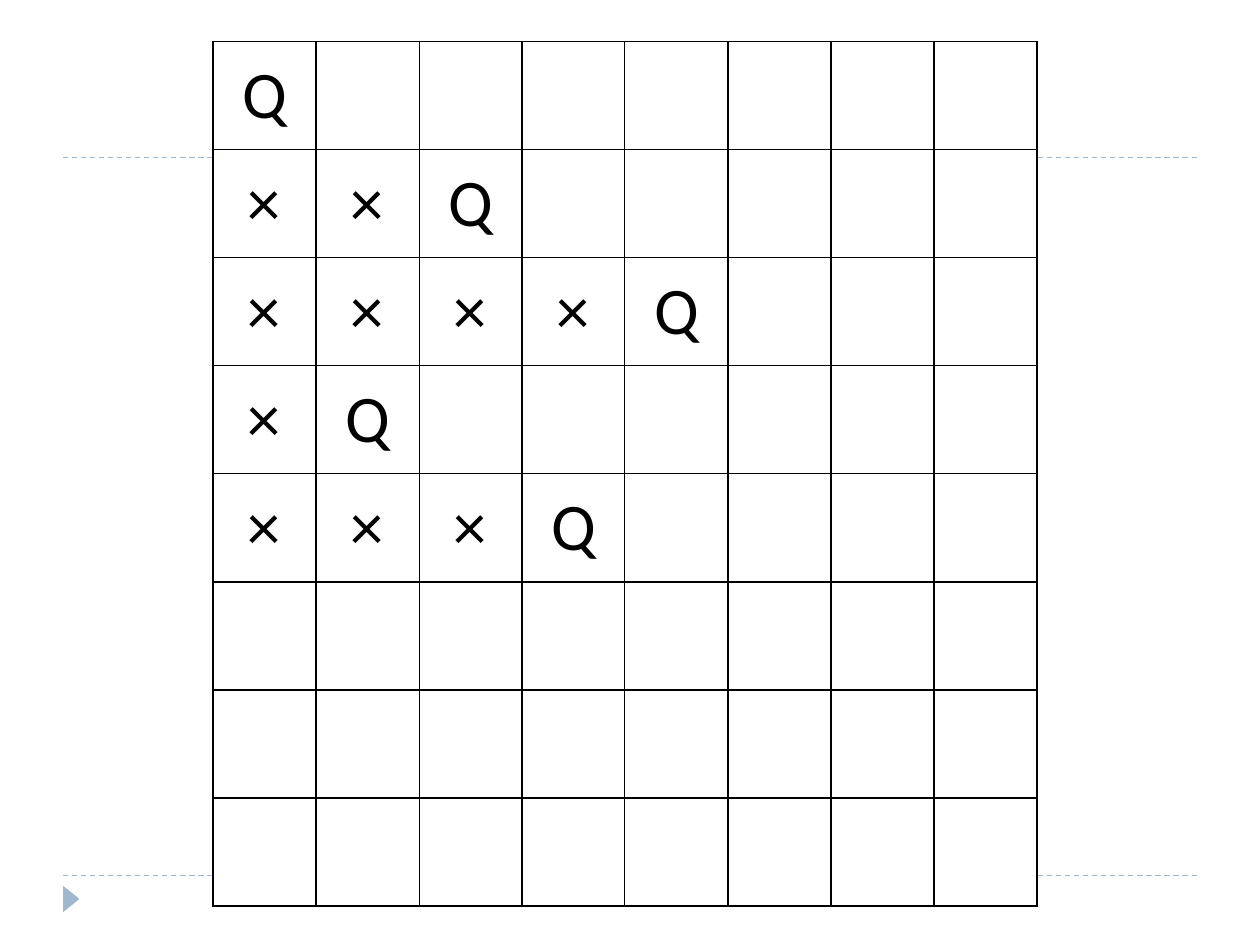
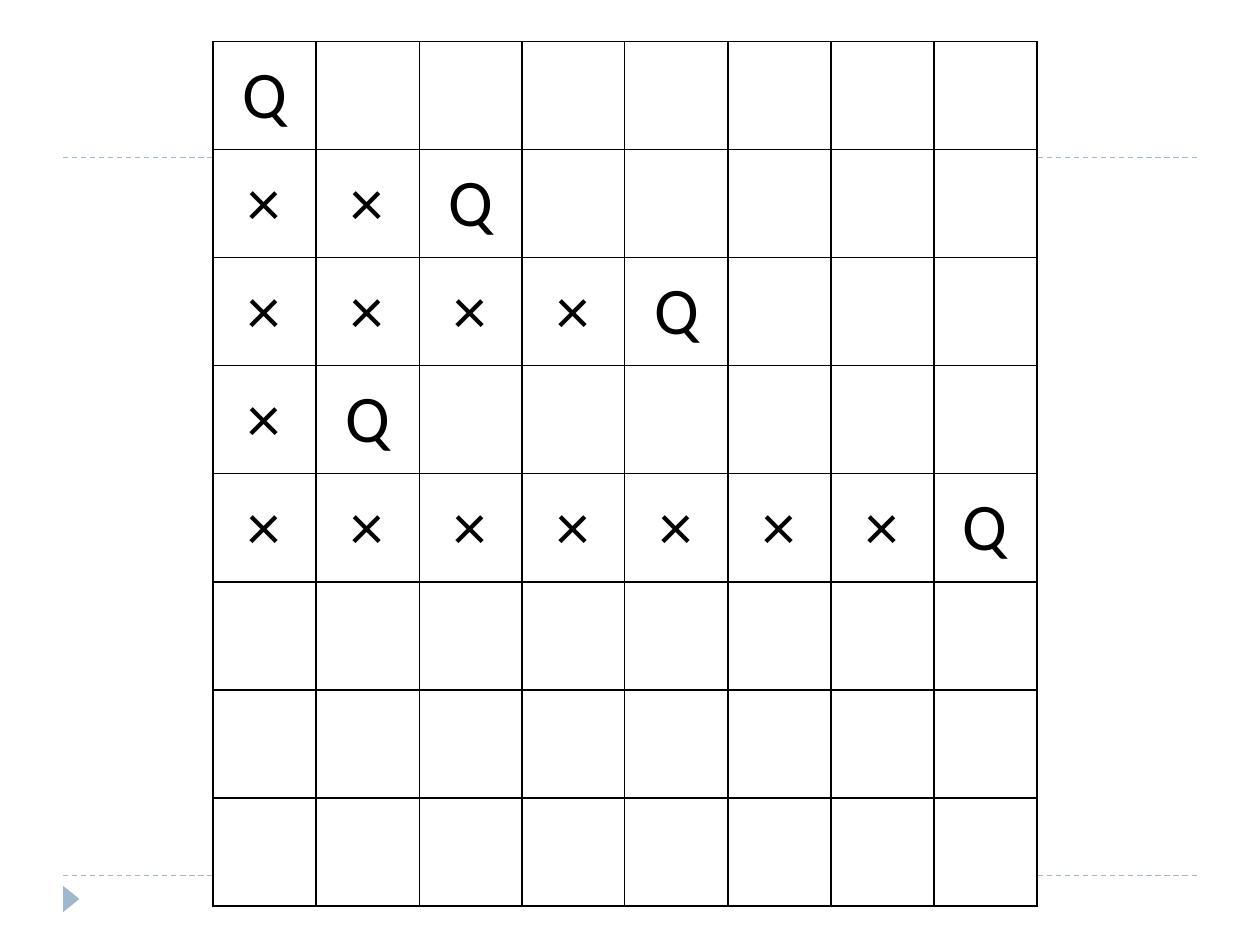
from dataclasses import dataclass

from lxml.etree import SubElement
from pptx import Presentation
from pptx.dml.color import RGBColor
from pptx.enum.dml import MSO_LINE
from pptx.enum.shapes import MSO_CONNECTOR, MSO_SHAPE
from pptx.enum.text import MSO_ANCHOR, PP_ALIGN
from pptx.oxml.ns import qn
from pptx.slide import Slide
from pptx.table import _Cell
from pptx.util import Inches, Pt


@dataclass(frozen=True)
class Theme:
    accent: RGBColor = RGBColor(0x9F, 0xB8, 0xCD)
    ink: RGBColor = RGBColor(0, 0, 0)
    paper: RGBColor = RGBColor(0xFF, 0xFF, 0xFF)
    font: str = "Calibri"
    mark_size: Pt = Pt(38)
    rule_width: Pt = Pt(0.75)
    thick_edge: Pt = Pt(1)
    thin_edge: Pt = Pt(0.5)


@dataclass(frozen=True)
class Board:
    queen_columns: tuple[int, ...]

    def marks(self, row: int) -> str:
        if row >= len(self.queen_columns):
            return ""
        return "×" * self.queen_columns[row] + "Q"


THEME = Theme()
SIZE = 8
THIN_EDGES = {2, 4}
RULE_TOPS = (6.95, 1.25)
BOARDS = (Board((0, 2, 4, 1, 3)), Board((0, 2, 4, 1, 7)))
CELL_FORMAT = {
    "vertical_anchor": MSO_ANCHOR.MIDDLE,
    "margin_left": Inches(0.21),
    "margin_right": Inches(0.21),
    "margin_top": Inches(0.1),
    "margin_bottom": Inches(0.1),
}
MARK_FORMAT = {"name": THEME.font, "size": THEME.mark_size}
RULE_FORMAT = {"width": THEME.rule_width, "dash_style": MSO_LINE.DASH}


def apply_format(target: object, values: dict[str, object]) -> None:
    for attribute, value in values.items():
        setattr(target, attribute, value)


def draw_frame(slide: Slide) -> None:
    for top in RULE_TOPS:
        rule = slide.shapes.add_connector(
            MSO_CONNECTOR.STRAIGHT, Inches(0.5), Inches(top), Inches(9.5), Inches(top)
        )
        rule.line.color.rgb = THEME.accent
        apply_format(rule.line, RULE_FORMAT)
        SubElement(rule._element.spPr, qn("a:effectLst"))
    marker = slide.shapes.add_shape(
        MSO_SHAPE.ISOSCELES_TRIANGLE, Inches(0.46), Inches(7.07), Inches(0.21), Inches(0.13)
    )
    marker.rotation = 90
    marker.shadow.inherit = False
    marker.fill.solid()
    marker.fill.fore_color.rgb = THEME.accent
    marker.line.fill.background()


def draw_borders(cell: _Cell, row: int, column: int) -> None:
    edges = {"a:lnL": column, "a:lnR": column + 1, "a:lnT": row, "a:lnB": row + 1}
    properties = cell._tc.get_or_add_tcPr()
    for position, (tag, edge) in enumerate(edges.items()):
        width = THEME.thin_edge if edge in THIN_EDGES else THEME.thick_edge
        border = SubElement(properties, qn(tag), w=str(int(width)))
        fill = SubElement(border, qn("a:solidFill"))
        SubElement(fill, qn("a:srgbClr"), val=str(THEME.ink))
        properties.insert(position, border)


def draw_cell(cell: _Cell, row: int, column: int, mark: str) -> None:
    apply_format(cell, CELL_FORMAT)
    cell.fill.solid()
    cell.fill.fore_color.rgb = THEME.paper
    draw_borders(cell, row, column)
    if mark:
        paragraph = cell.text_frame.paragraphs[0]
        paragraph.alignment = PP_ALIGN.CENTER
        run = paragraph.add_run()
        run.text = mark
        apply_format(run.font, MARK_FORMAT)
        run.font.color.rgb = THEME.ink


def draw_board(slide: Slide, board: Board) -> None:
    grid = slide.shapes.add_table(
        SIZE, SIZE, Inches(1.69), Inches(0.33), Inches(6.54), Inches(6.86)
    ).table
    apply_format(grid, {"first_row": False, "horz_banding": False})
    for row in range(SIZE):
        marks = board.marks(row)
        for column in range(SIZE):
            draw_cell(grid.cell(row, column), row, column, marks[column:column + 1])


def main() -> None:
    presentation = Presentation()
    presentation.slide_width = Inches(10)
    presentation.slide_height = Inches(7.5)
    blank = presentation.slide_layouts[6]
    for board in BOARDS:
        slide = presentation.slides.add_slide(blank)
        draw_frame(slide)
        draw_board(slide, board)
    presentation.save("out.pptx")


if __name__ == "__main__":
    main()
